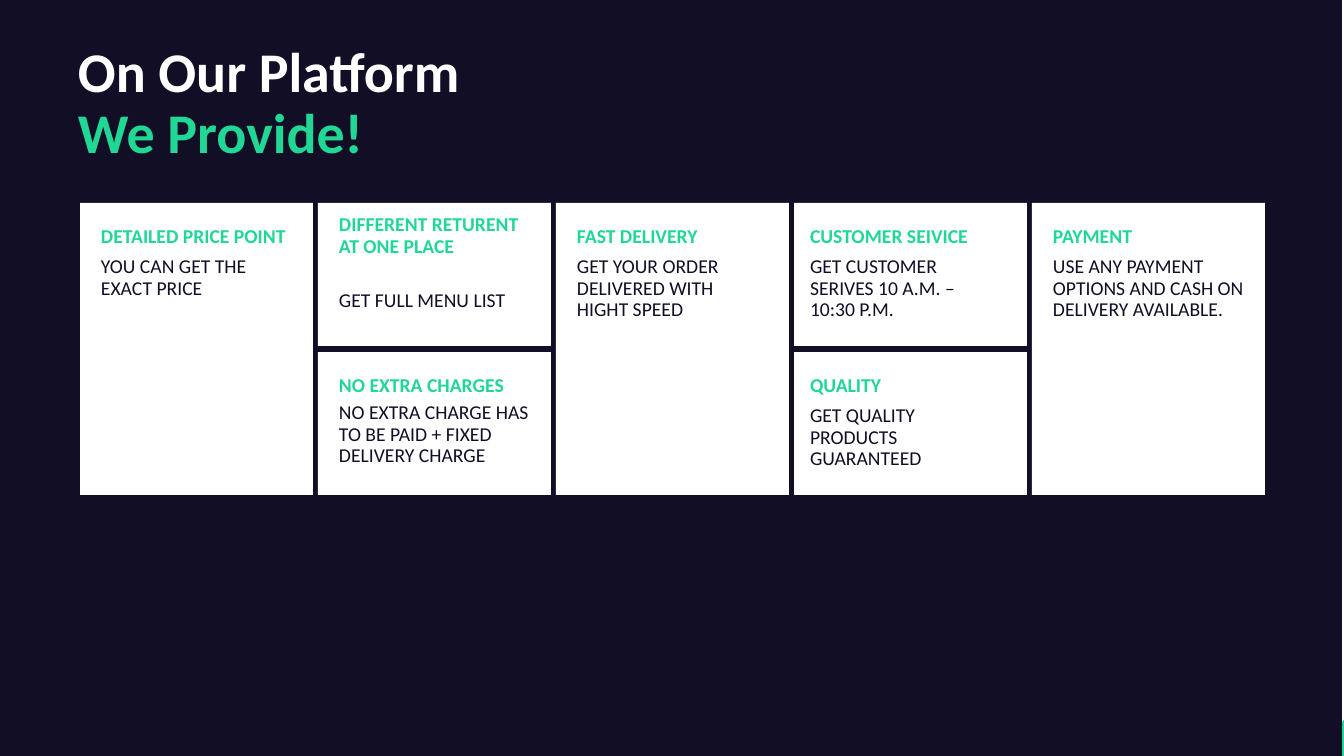
import dataclasses

import pptx
import pptx.dml.color
import pptx.enum.shapes
import pptx.enum.text
import pptx.util

TITLE = ("On Our Platform", "We Provide!")
COLUMNS = [
    [("DETAILED PRICE POINT", "YOU CAN GET THE EXACT PRICE")],
    [
        ("DIFFERENT RETURENT AT ONE PLACE", "GET FULL MENU LIST"),
        ("NO EXTRA CHARGES", "NO EXTRA CHARGE HAS TO BE PAID + FIXED DELIVERY CHARGE"),
    ],
    [("FAST DELIVERY", "GET YOUR ORDER DELIVERED WITH HIGHT SPEED")],
    [
        ("CUSTOMER SEIVICE", "GET CUSTOMER SERIVES 10 A.M. – 10:30 P.M."),
        ("QUALITY", "GET QUALITY PRODUCTS GUARANTEED"),
    ],
    [("PAYMENT", "USE ANY PAYMENT OPTIONS AND CASH ON DELIVERY AVAILABLE.")],
]

SLIDE_W, SLIDE_H = 1344, 756
GRID_X, GRID_Y, GRID_H = 80, 203, 292
CARD_W, COLUMN_GAP, ROW_GAP = 233, 5, 6
TEXT_W, LINE_H = 191, 21
INSET = 21
COLUMN_INSETS = {3: 16}
HEADING_Y, BODY_Y = 24, 54
TEXT_OFFSETS = {(1, 0): (12, 88), (1, 1): (HEADING_Y, 51)}


@dataclasses.dataclass(frozen=True)
class Theme:
    font: str = "Calibri"
    night: str = "110E26"
    green: str = "21D795"
    white: str = "FFFFFF"
    title_size: int = 40
    text_size: int = 14


THEME = Theme()


def px(length):
    return pptx.util.Emu(round(length * 914400 / 100.8))


def rgb(color):
    return pptx.dml.color.RGBColor.from_string(color)


def add_block(slide, preset, box, color):
    block = slide.shapes.add_shape(preset, *map(px, box))
    block.shadow.inherit = False
    block.fill.solid()
    block.fill.fore_color.rgb = rgb(color)
    block.line.fill.background()
    return block


def prepare_frame(frame, anchor):
    frame.margin_left = frame.margin_top = frame.margin_right = frame.margin_bottom = 0
    frame.word_wrap = True
    frame.auto_size = pptx.enum.text.MSO_AUTO_SIZE.SHAPE_TO_FIT_TEXT
    frame.vertical_anchor = anchor
    paragraph = frame.paragraphs[0]
    paragraph.alignment = pptx.enum.text.PP_ALIGN.LEFT
    paragraph.line_spacing = 0.9
    return paragraph


def add_run(paragraph, words, size, color, bold):
    run = paragraph.add_run()
    run.text = words
    run.font.name = THEME.font
    run.font.size = pptx.util.Pt(size)
    run.font.bold = bold
    run.font.color.rgb = rgb(color)


def add_text(slide, left, top, words, color, bold):
    frame = slide.shapes.add_textbox(px(left), px(top), px(TEXT_W), px(LINE_H)).text_frame
    paragraph = prepare_frame(frame, pptx.enum.text.MSO_ANCHOR.TOP)
    paragraph.space_before = pptx.util.Pt(10)
    add_run(paragraph, words, THEME.text_size, color, bold)


def add_title(slide):
    title = slide.shapes.title
    title.left, title.top, title.width, title.height = map(px, (78, 44, 679, 122))
    title.element.getparent().append(title.element)
    paragraph = prepare_frame(title.text_frame, pptx.enum.text.MSO_ANCHOR.MIDDLE)
    add_run(paragraph, TITLE[0], THEME.title_size, THEME.white, True)
    paragraph.add_line_break()
    add_run(paragraph, TITLE[1], THEME.title_size, THEME.green, True)


def add_cards(slide):
    for column, cards in enumerate(COLUMNS):
        left = GRID_X + column * (CARD_W + COLUMN_GAP)
        text_left = left + COLUMN_INSETS.get(column, INSET)
        height = (GRID_H - ROW_GAP * (len(cards) - 1)) // len(cards)
        for row, (heading, body) in enumerate(cards):
            top = GRID_Y + row * (height + ROW_GAP)
            heading_y, body_y = TEXT_OFFSETS.get((column, row), (HEADING_Y, BODY_Y))
            add_block(slide, pptx.enum.shapes.MSO_SHAPE.RECTANGLE,
                      (left, top, CARD_W, height), THEME.white)
            add_text(slide, text_left, top + heading_y, heading, THEME.green, True)
            add_text(slide, text_left, top + body_y, body, THEME.night, False)


def main():
    deck = pptx.Presentation()
    deck.slide_width, deck.slide_height = px(SLIDE_W), px(SLIDE_H)
    slide = deck.slides.add_slide(deck.slide_layouts.get_by_name("Title Only"))
    slide.background.fill.solid()
    slide.background.fill.fore_color.rgb = rgb(THEME.white)

    corner = add_block(slide, pptx.enum.shapes.MSO_SHAPE.RIGHT_TRIANGLE,
                       (SLIDE_W - 36, SLIDE_H - 36, 36, 36), THEME.green)
    corner.element.spPr.xfrm.set("flipH", "1")
    add_block(slide, pptx.enum.shapes.MSO_SHAPE.RECTANGLE,
              (-2, -26, SLIDE_W, 806), THEME.night)
    add_cards(slide)
    add_title(slide)
    deck.save("out.pptx")


if __name__ == "__main__":
    main()
